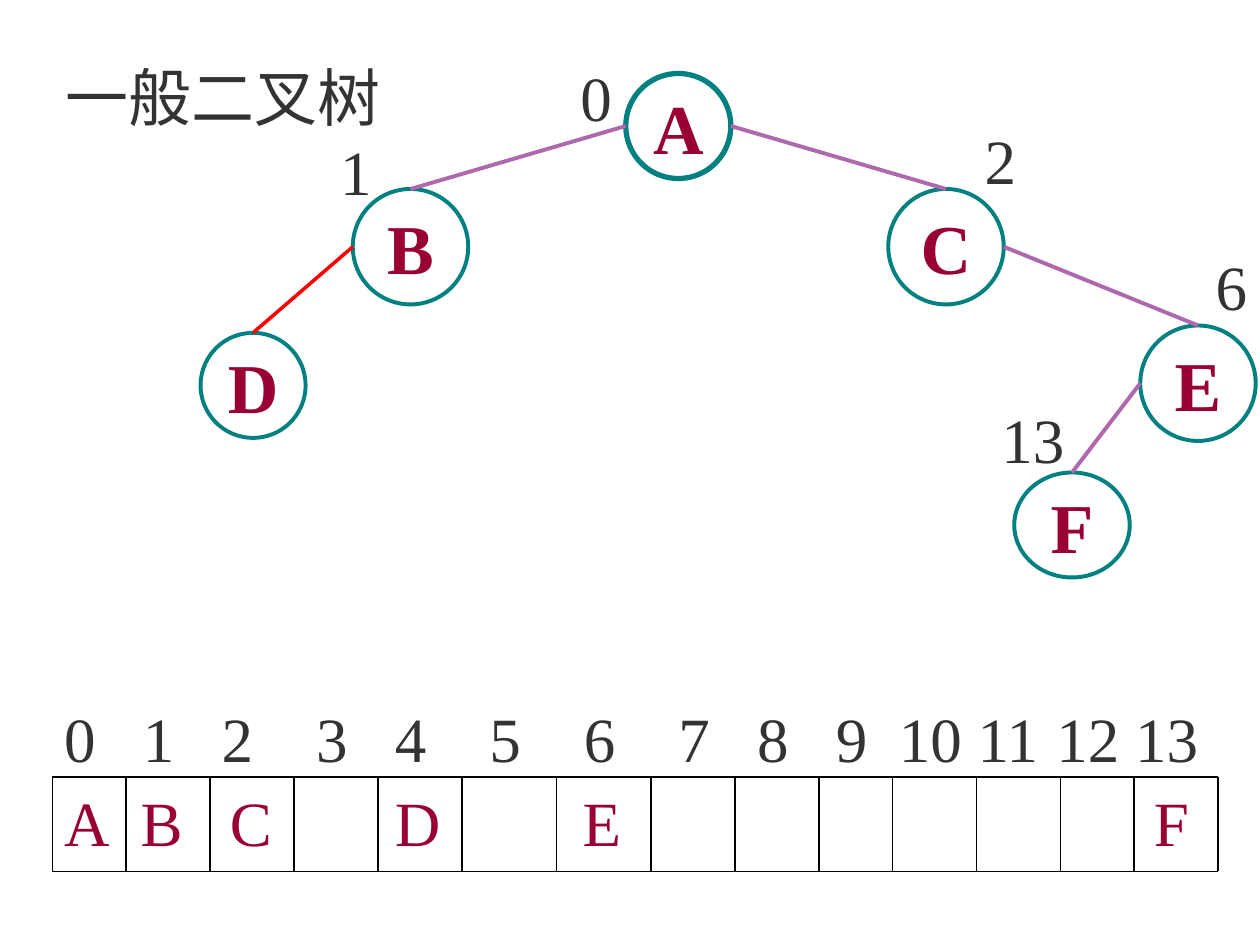
from lxml import etree
from pptx import Presentation
from pptx.dml.color import RGBColor
from pptx.enum.shapes import MSO_CONNECTOR, MSO_SHAPE
from pptx.enum.text import MSO_ANCHOR, MSO_AUTO_SIZE, PP_ALIGN
from pptx.oxml.ns import qn
from pptx.util import Inches, Pt

STRAIGHT = MSO_CONNECTOR.STRAIGHT
OVAL = MSO_SHAPE.OVAL
TOP, MIDDLE = MSO_ANCHOR.TOP, MSO_ANCHOR.MIDDLE
LEFT, CENTER = PP_ALIGN.LEFT, PP_ALIGN.CENTER
NO_FIT = MSO_AUTO_SIZE.NONE

WHITE = RGBColor(0xFF, 0xFF, 0xFF)
BLACK = RGBColor(0x00, 0x00, 0x00)
GRAY = RGBColor(0x33, 0x33, 0x33)
CRIMSON = RGBColor(0x99, 0x00, 0x33)
TEAL = RGBColor(0x00, 0x80, 0x80)
PURPLE = RGBColor(0xAE, 0x68, 0xAE)
RED = RGBColor(0xFF, 0x00, 0x00)

FONT = "Times New Roman"
COLS, ROWS = 120, 90  # grid cells across and down the slide
TEXT_ROWS = 8.4       # height of one line of text


class TreeSlide:
    """Slide with its style; lengths are grid columns and rows."""

    def __init__(self, prs):
        self.cell_w = prs.slide_width / COLS
        self.cell_h = prs.slide_height / ROWS
        self.s = prs.slides.add_slide(prs.slide_layouts[5])

    def x(self, cols):
        return round(cols * self.cell_w)

    def y(self, rows):
        return round(rows * self.cell_h)

    def box(self, left, top, width, height):
        return self.x(left), self.y(top), self.x(width), self.y(height)

    def style(self, p, size, color, bold=False, align=LEFT):
        p.alignment = align
        for r in p.runs:
            r.font.name, r.font.size = FONT, Pt(size)
            r.font.bold, r.font.color.rgb = bold, color

    def title(self, text, left, top, width):
        sp = self.s.shapes.title
        sp.left, sp.top, sp.width, sp.height = self.box(left, top, width, TEXT_ROWS)
        tf = sp.text_frame
        tf.text = text
        tf.auto_size, tf.vertical_anchor = NO_FIT, TOP
        self.style(tf.paragraphs[0], 36, GRAY)

    def label(self, text, left, top, width):
        sp = self.s.shapes.add_textbox(*self.box(left, top, width, TEXT_ROWS))
        tf = sp.text_frame
        tf.text, tf.word_wrap = text, False
        self.style(tf.paragraphs[0], 36, GRAY)

    def tabbed_row(self, items, left, top, width, color):
        """One line of text with each later item at its own tab stop."""
        sp = self.s.shapes.add_textbox(*self.box(left, top, width, TEXT_ROWS))
        tf = sp.text_frame
        tf.word_wrap = True
        tf.margin_left = tf.margin_right = 0
        p = tf.paragraphs[0]
        p.text = "\t".join(items)
        tabs = etree.SubElement(p._p.get_or_add_pPr(), qn("a:tabLst"))
        for stop in list(items.values())[1:]:
            etree.SubElement(tabs, qn("a:tab"), pos=str(self.x(stop)), algn="l")
        self.style(p, 36, color)

    def node(self, text, left, top, width, height, line=2.25):
        sp = self.s.shapes.add_shape(OVAL, *self.box(left, top, width, height))
        sp.shadow.inherit = False
        sp.fill.solid()
        sp.fill.fore_color.rgb = WHITE
        sp.line.color.rgb, sp.line.width = TEAL, Pt(line)
        tf = sp.text_frame
        tf.text, tf.word_wrap, tf.vertical_anchor = text, False, MIDDLE
        self.style(tf.paragraphs[0], 40, CRIMSON, True, CENTER)
        return sp

    def line(self, x1, y1, x2, y2, color, width):
        cn = self.s.shapes.add_connector(STRAIGHT, x1, y1, x2, y2)
        cn.line.color.rgb, cn.line.width = color, Pt(width)
        etree.SubElement(cn._element.spPr, qn("a:effectLst"))

    def rule(self, x1, y1, x2, y2):
        self.line(self.x(x1), self.y(y1), self.x(x2), self.y(y2), BLACK, 1)

    def edge(self, parent, child, is_left, color=PURPLE, width=2.25):
        """Join the parent's side to the top of the child."""
        side = parent.left if is_left else parent.left + parent.width
        self.line(side, parent.top + parent.height // 2,
                  child.left + child.width // 2, child.top, color, width)


prs = Presentation()
prs.slide_width, prs.slide_height = Inches(10), Inches(7.5)
tree = TreeSlide(prs)

tree.title("一般二叉树", 5, 5, 34)

# Array: cell borders, values and indices
edges = [5, 12, 20, 28, 36, 44, 53, 62, 70, 78, 85, 93, 101, 108, 116]
array_top, array_bottom = 74, 83
for row in (array_top, array_bottom):
    tree.rule(edges[0], row, edges[-1], row)
for col in edges:
    tree.rule(col, array_top, col, array_bottom)

values = {"A": 0, "B": 7.3, "C": 15.8, "D": 31.5, "E": 49.4, "F": 103.8}
index_stops = [0, 7.5, 15, 24, 31.5, 40.5, 49.5, 58.5, 66, 73.5, 79.5, 87, 94.5, 102]
indices = {str(i): stop for i, stop in enumerate(index_stops)}
tree.tabbed_row(values, 6.1, array_top, 112, CRIMSON)
tree.tabbed_row(indices, 6.1, 66, 112, GRAY)

# Tree nodes
a = tree.node("A", 59.6, 7, 10, 10, line=3)
b = tree.node("B", 33.6, 18, 11, 11)
c = tree.node("C", 84.6, 18, 11, 11)
d = tree.node("D", 19.1, 31.7, 10, 10)
e = tree.node("E", 108.6, 31, 11, 11)
f = tree.node("F", 96.6, 45, 11, 10)

# Tree edges
for parent, child, is_left in [(a, b, True), (a, c, False), (c, e, False), (e, f, True)]:
    tree.edge(parent, child, is_left)
tree.edge(b, d, True, RED, 2)

# Array index beside each node
for text, left, top, width in [("0", 54.1, 5, 5.4), ("1", 31.2, 12, 5.4),
                               ("2", 92.6, 11, 5.4), ("6", 114.6, 23, 5.4),
                               ("13", 94.2, 37.6, 8.4)]:
    tree.label(text, left, top, width)

prs.save("out.pptx")
